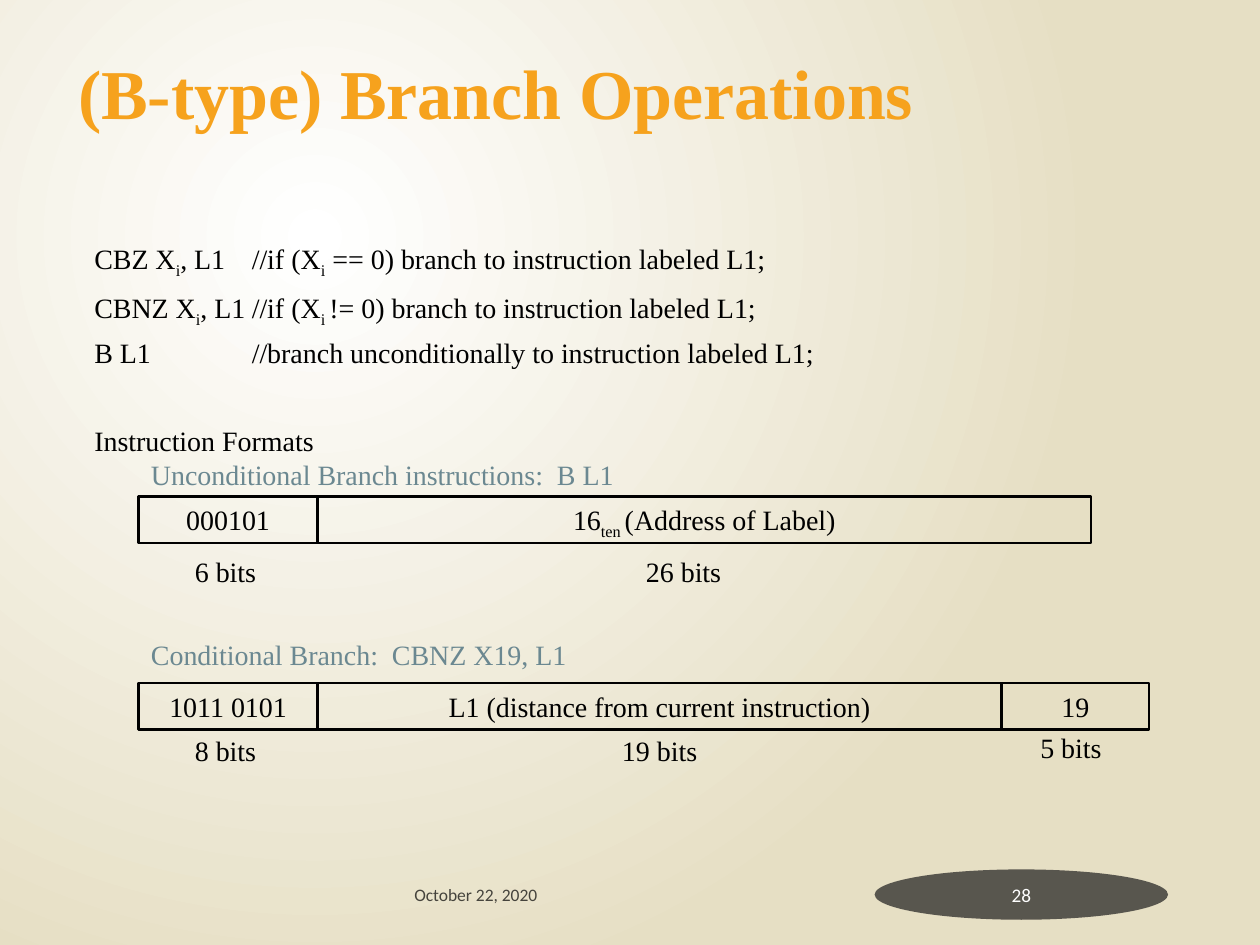
from lxml.etree import SubElement
from pptx import Presentation
from pptx.dml.color import RGBColor
from pptx.enum.shapes import MSO_SHAPE as SHAPE
from pptx.enum.text import MSO_ANCHOR as ANCHOR, MSO_AUTO_SIZE as AUTO, PP_ALIGN as ALIGN
from pptx.oxml.ns import qn
from pptx.util import Inches, Pt

W, H = Inches(10), Inches(7.5)
SERIF, SANS = "Times New Roman", "Calibri"
BLACK, ORANGE, SLATE = "000000", "F6A21D", "6B8891"
ROW = 4.93
CODE = [
    ("CBZ X~i~, L1\t//if (X~i~ == 0) branch to instruction labeled L1;", 0),
    ("CBNZ X~i~, L1\t//if (X~i ~!= 0) branch to instruction labeled L1;", 10),
    ("B L1\t\t//branch unconditionally to instruction labeled L1;", 10),
    ("Instruction Formats", 35),
]
UNCONDITIONAL = [
    ("000101", 14.2, "6 bits", (3.4, 10.27, 7)),
    ("16~ten ~(Address of Label)", 61.4, "26 bits", (39.2, 10.27, 8.1)),
]
CONDITIONAL = [
    ("1011 0101", 14.2, "8 bits", (3.4, 10.13, 7)),
    ("L1 (distance from current instruction)", 54.3, "19 bits", (37.3, 10.13, 8.1)),
    ("19", 11.7, "5 bits", (70.5, 9.87, 7)),
]


def rgb(value):
    """Turn a hex string into a colour."""
    return RGBColor.from_string(value)


def place(x, y, w, h):
    """Turn percentages of the slide's size into a position and a size."""
    return [int(v * side / 100) for v, side in zip((x, y, w, h), (W, H, W, H))]


def fade(element, percent):
    """Set the opacity of every colour inside an element."""
    for clr in element.iter(qn("a:srgbClr")):
        SubElement(clr, qn("a:alpha"), val=str(percent * 1000))


def write(p, text, color=BLACK, align=ALIGN.LEFT, **font):
    """Fill a paragraph, with subscripts between tildes."""
    p.alignment = align
    for i, part in enumerate(text.split("~")):
        r = p.add_run()
        r.text = part
        for name, value in {"name": SERIF, "size": Pt(16), **font}.items():
            setattr(r.font, name, value)
        r.font.color.rgb = rgb(color)
        if i % 2:
            r._r.get_or_add_rPr().set("baseline", "-25000")


def add_text(s, box, text, wrap=True, anchor=ANCHOR.TOP, **style):
    """Add a text box with one paragraph."""
    sp = s.shapes.add_textbox(*place(*box))
    tf = sp.text_frame
    tf.word_wrap, tf.vertical_anchor = wrap, anchor
    write(tf.paragraphs[0], text, **style)
    return sp


def add_background(s):
    """Paint the radial gradient behind the slide."""
    fill = s.background.fill
    fill.gradient()
    for stop, color in zip(fill.gradient_stops, ("FFFFFF", "E6DFC4")):
        stop.color.rgb = rgb(color)
    lin = next(s.element.iter(qn("a:lin")))
    grad = lin.getparent()
    grad.remove(lin)
    circle = SubElement(grad, qn("a:path"), path="circle")
    SubElement(circle, qn("a:fillToRect"), l="50000", t="50000", r="100000", b="100000")


def add_title(s, box, text):
    """Move and format the title placeholder."""
    sp = s.shapes.title
    sp.left, sp.top, sp.width, sp.height = place(*box)
    tf = sp.text_frame
    tf.auto_size, tf.vertical_anchor = AUTO.NONE, ANCHOR.MIDDLE
    write(tf.paragraphs[0], text, ORANGE, size=Pt(40), bold=True)


def add_code(s, box, lines):
    """Add the instruction lines with hanging indents."""
    tf = s.shapes.add_textbox(*place(*box)).text_frame
    tf.word_wrap = True
    for i, (text, before) in enumerate(lines):
        p = tf.add_paragraph() if i else tf.paragraphs[0]
        pPr = p._p.get_or_add_pPr()
        pPr.set("marL", str(Inches(0.25)))
        pPr.set("indent", str(-Inches(0.25)))
        p.line_spacing, p.space_before = 0.8, Pt(before)
        write(p, text)


def add_format(s, box, caption, gap, fields):
    """Add a captioned row of instruction fields with their bit widths."""
    x, y, w = box
    add_text(s, (x, y, w, ROW), caption, color=SLATE)
    left = x
    for text, width, bits, (dx, dy, label_w) in fields:
        sp = s.shapes.add_shape(SHAPE.RECTANGLE, *place(left, y + gap, width, ROW))
        sp.shadow.inherit = False
        sp.fill.background()
        sp.line.color.rgb, sp.line.width = rgb(BLACK), Pt(1.5)
        sp.text_frame.word_wrap, sp.text_frame.vertical_anchor = True, ANCHOR.TOP
        write(sp.text_frame.paragraphs[0], text, align=ALIGN.CENTER)
        add_text(s, (x + dx, y + dy, label_w, ROW), bits, wrap=False, align=ALIGN.CENTER)
        left += width


def add_footer(s, box, date, number):
    """Add the date and the slide number in its ellipse."""
    x, y, w, h = box
    sp = add_text(s, (x, y, w * 0.52, h), date, anchor=ANCHOR.MIDDLE, name=SANS, size=Pt(10))
    fade(sp.element, 70)
    sp = s.shapes.add_shape(SHAPE.OVAL, *place(x + w * 0.617, y, w * 0.383, h))
    sp.shadow.inherit = False
    sp.fill.solid()
    sp.fill.fore_color.rgb = rgb("1D1D1D")
    fade(sp.element, 70)
    sp.line.fill.background()
    tf = sp.text_frame
    tf.margin_left = tf.margin_right = Inches(0.02)
    tf.vertical_anchor = ANCHOR.MIDDLE
    write(tf.paragraphs[0], number, "FFFFFF", ALIGN.CENTER, name=SANS, size=Pt(11))


def main():
    """Build and save the slide."""
    prs = Presentation()
    prs.slide_width, prs.slide_height = W, H
    s = prs.slides.add_slide(prs.slide_layouts[5])
    add_background(s)
    add_title(s, (5.2, 4.13, 90.3, 11.07), "(B-type) Branch Operations")
    add_code(s, (6.5, 25.33, 88.5, 23.33), CODE)
    add_format(s, (11, 47.73, 50.6), "Unconditional Branch instructions:  B L1", 4.8, UNCONDITIONAL)
    add_format(s, (11, 66.8, 75.6), "Conditional Branch:  CBNZ X19, L1", 5.47, CONDITIONAL)
    add_footer(s, (31.9, 92, 60.8, 5.33), "October 22, 2020", "28")
    prs.save("out.pptx")


if __name__ == "__main__":
    main()
